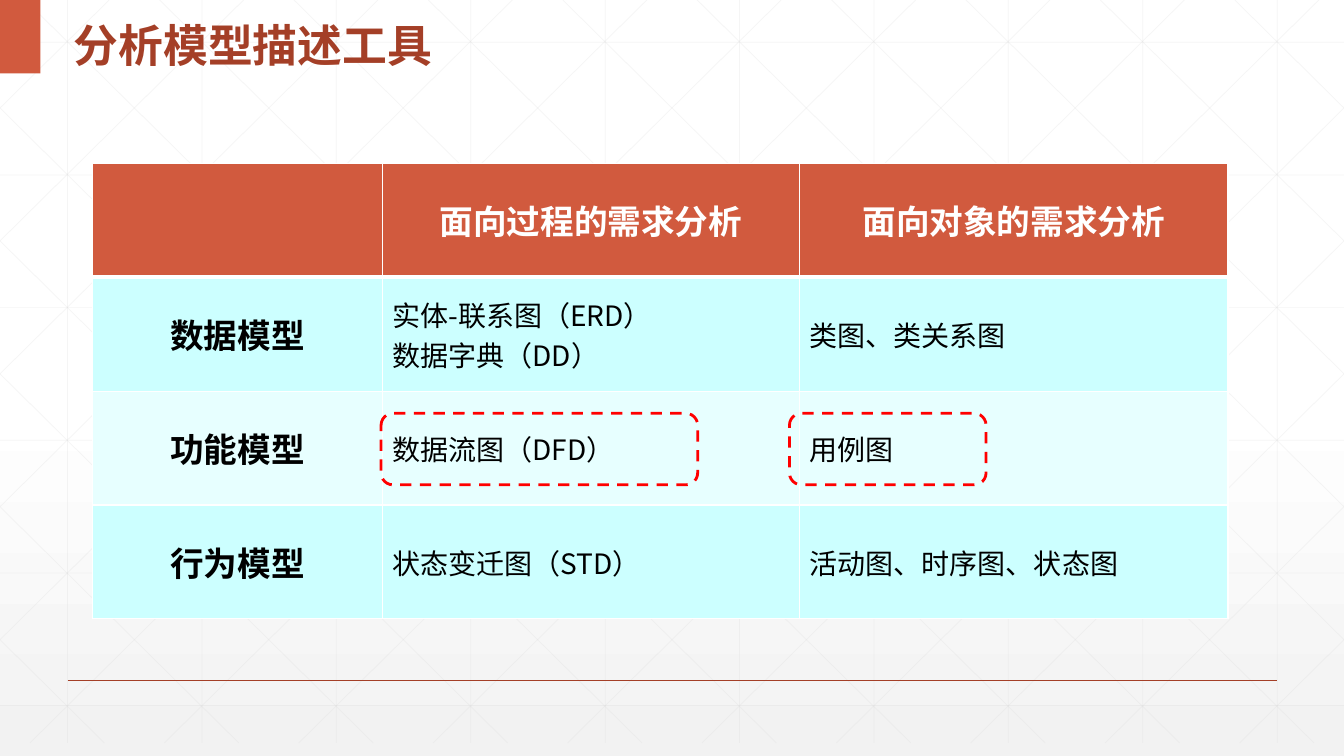
from pptx import Presentation
from pptx.dml.color import RGBColor
from pptx.enum.dml import MSO_LINE
from pptx.enum.shapes import MSO_CONNECTOR, MSO_SHAPE
from pptx.enum.text import MSO_ANCHOR, MSO_AUTO_SIZE, PP_ALIGN
from pptx.oxml.ns import qn
from pptx.util import Inches, Pt
from lxml.etree import SubElement

WHITE = RGBColor(0xFF, 0xFF, 0xFF)
BLACK = RGBColor(0x00, 0x00, 0x00)
PALE_GREY = RGBColor(0xF2, 0xF2, 0xF2)
GRID_GREY = RGBColor(0xD9, 0xD9, 0xD9)
ORANGE = RGBColor(0xD1, 0x5A, 0x3E)
BRICK = RGBColor(0xA4, 0x3F, 0x27)
CYAN = RGBColor(0xCC, 0xFF, 0xFF)
LIGHT_CYAN = RGBColor(0xE7, 0xFF, 0xFF)
RED = RGBColor(0xFF, 0x00, 0x00)
SANS, SERIF = "Noto Sans CJK SC", "Times New Roman"
W, GRID_H = 13.33, 7.37


def add_line(x1, y1, x2, y2, color, width, opacity=100):
    line = slide.shapes.add_connector(
        MSO_CONNECTOR.STRAIGHT, Inches(x1), Inches(y1), Inches(x2), Inches(y2))
    line.line.color.rgb = color
    line.line.width = Pt(width)
    SubElement(line.element.spPr, qn("a:effectLst"))
    if opacity < 100:
        clr = next(line.element.spPr.iter(qn("a:srgbClr")))
        SubElement(clr, qn("a:alpha")).set("val", str(opacity * 1000))


def set_font(p, name, size, color, bold):
    p.font.name, p.font.size, p.font.bold = name, Pt(size), bold
    p.font.color.rgb = color
    if name == SANS:
        rpr = p._p.pPr.find(qn("a:defRPr"))
        SubElement(rpr, qn("a:ea")).set("typeface", name)


prs = Presentation()
prs.slide_width, prs.slide_height = Inches(W), Inches(7.5)
slide = prs.slides.add_slide(prs.slide_layouts[5])

# Background fading from white to pale grey
bg = slide.background.fill
bg.gradient()
bg.gradient_angle = 270
for stop, (pos, color) in zip(bg.gradient_stops, [(0.53, WHITE), (1, PALE_GREY)]):
    stop.position, stop.color.rgb = pos, color

# Faint grid: verticals, horizontals, then diagonals clipped to the slide
step = W / 10
grid = [(0.67 + step * i, 0, 0.67 + step * i, GRID_H) for i in range(10)]
grid += [(0, 0.42 + 1.316 * i, W, 0.42 + 1.316 * i) for i in range(6)]
slope = GRID_H / 7.45
for i in range(-5, 10):
    x = 0.25 + step * i
    x1, x2 = max(x, 0), min(x + 7.45, W)
    y1, y2 = (x1 - x) * slope, (x2 - x) * slope
    grid += [(x1, y1, x2, y2), (W - x1, y1, W - x2, y2)]
for ends in grid:
    add_line(*ends, GRID_GREY, 0.5, 25)

# Footer rule and corner block
add_line(0.67, 6.75, 12.67, 6.75, BRICK, 1)
sp = slide.shapes.add_shape(MSO_SHAPE.RECTANGLE, 0, 0, Inches(0.4), Inches(0.73))
sp.shadow.inherit = False
sp.fill.solid()
sp.fill.fore_color.rgb = ORANGE
sp.line.fill.background()

# Title, brought in front of the grid
title = slide.shapes.title
title.element.getparent().append(title.element)
title.left, title.top = Inches(0.63), Inches(0)
title.width, title.height = Inches(5.69), Inches(0.73)
tf = title.text_frame
tf.text = "分析模型描述工具"
tf.auto_size = MSO_AUTO_SIZE.NONE
tf.vertical_anchor = MSO_ANCHOR.MIDDLE
p = tf.paragraphs[0]
p.alignment, p.line_spacing = PP_ALIGN.LEFT, 1.3
set_font(p, SANS, 32, BRICK, True)

# Table of models and their notations
rows = [
    ["", "面向过程的需求分析", "面向对象的需求分析"],
    ["数据模型", "实体-联系图（ERD）\n数据字典（DD）", "类图、类关系图"],
    ["功能模型", "数据流图（DFD）", "用例图"],
    ["行为模型", "状态变迁图（STD）", "活动图、时序图、状态图"],
]
row_fills = [ORANGE, CYAN, LIGHT_CYAN, CYAN]
table = slide.shapes.add_table(
    4, 3, Inches(0.92), Inches(1.62), Inches(11.26), Inches(4.52)).table
for col, width in zip(table.columns, [2.87, 4.14, 4.25]):
    col.width = Inches(width)
for r, texts in enumerate(rows):
    for c, text in enumerate(texts):
        cell = table.cell(r, c)
        cell.vertical_anchor = MSO_ANCHOR.MIDDLE
        cell.text = text
        for p in cell.text_frame.paragraphs:
            if r == 0 or c == 0:
                p.alignment = PP_ALIGN.CENTER
                set_font(p, SERIF, 24, BLACK if r else WHITE, True)
            else:
                set_font(p, SANS, 20, BLACK, False)
        # White borders, thicker under the header
        tc_pr = cell._tc.get_or_add_tcPr()
        for side in ("lnL", "lnR", "lnT", "lnB"):
            thick = (r, side) in [(0, "lnB"), (1, "lnT")]
            ln = SubElement(tc_pr, qn(f"a:{side}"), w=str(Pt(3 if thick else 1)))
            fill = SubElement(ln, qn("a:solidFill"))
            SubElement(fill, qn("a:srgbClr"), val=str(WHITE))
        cell.fill.solid()
        cell.fill.fore_color.rgb = row_fills[r]

# Dashed frames around the function-model notations
for left, width in [(3.78, 3.14), (7.83, 1.95)]:
    sp = slide.shapes.add_shape(
        MSO_SHAPE.ROUNDED_RECTANGLE, Inches(left), Inches(4.1), Inches(width), Inches(0.71))
    sp.shadow.inherit = False
    sp.fill.background()
    sp.line.color.rgb = RED
    sp.line.width = Pt(2)
    sp.line.dash_style = MSO_LINE.DASH

prs.save("out.pptx")
